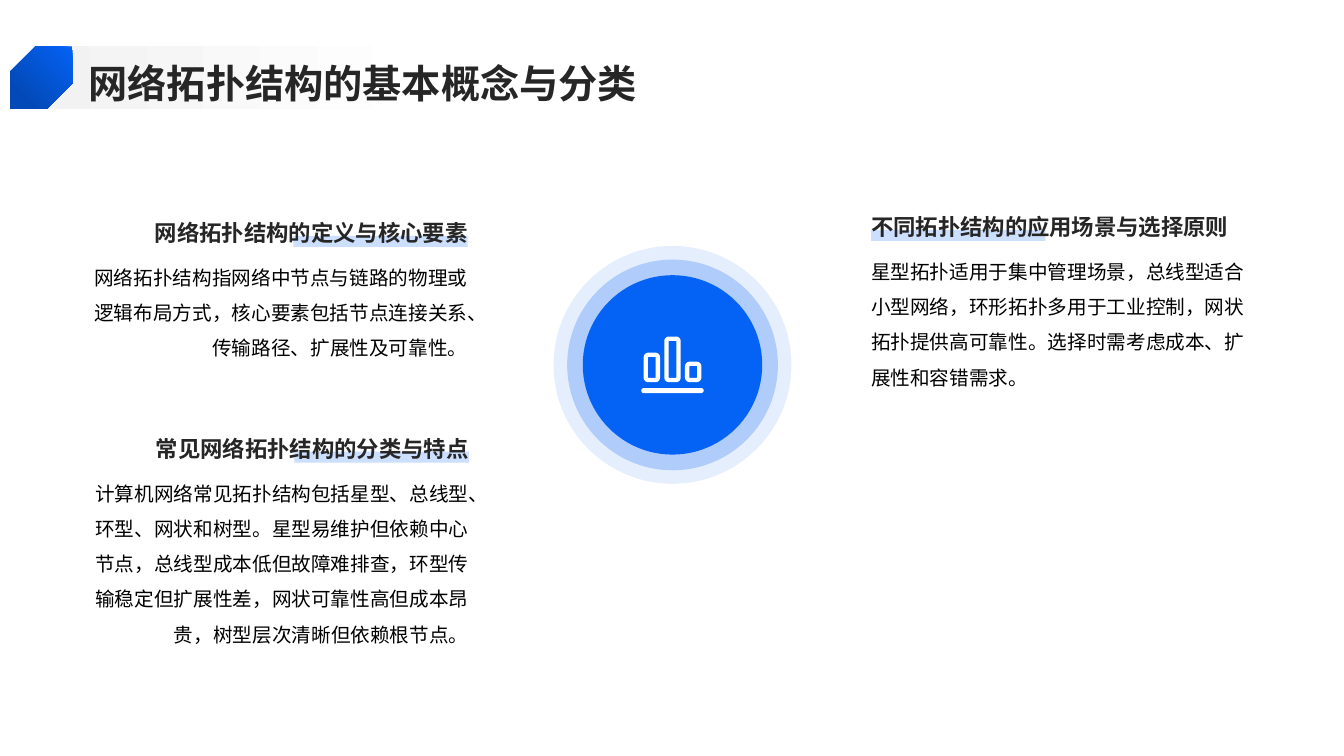
from lxml import etree
from pptx import Presentation
from pptx.dml.color import RGBColor
from pptx.enum.shapes import MSO_SHAPE
from pptx.enum.text import MSO_ANCHOR, PP_ALIGN
from pptx.oxml.ns import qn
from pptx.util import Inches, Pt

RECT, OVAL = MSO_SHAPE.RECTANGLE, MSO_SHAPE.OVAL
ROUNDED, SNIPPED = MSO_SHAPE.ROUNDED_RECTANGLE, MSO_SHAPE.SNIP_2_DIAG_RECTANGLE
LEFT, RIGHT = PP_ALIGN.LEFT, PP_ALIGN.RIGHT
TOP, MIDDLE, BOTTOM = MSO_ANCHOR.TOP, MSO_ANCHOR.MIDDLE, MSO_ANCHOR.BOTTOM
BLUE = RGBColor(0x04, 0x62, 0xF5)
DEEP_BLUE = RGBColor(0x03, 0x4A, 0xB8)
PALE_BLUE = RGBColor(0xCC, 0xDF, 0xFE)
GREY = RGBColor(0xF2, 0xF2, 0xF2)
WHITE = RGBColor(0xFF, 0xFF, 0xFF)
INK = RGBColor(0x26, 0x26, 0x26)
BLACK = RGBColor(0x00, 0x00, 0x00)
FONT = "Noto Sans CJK SC"
CARD_WIDTH, HEADING_HEIGHT, BODY_DROP = 3.74, 0.47, 0.55
MARK_WIDTH, MARK_HEIGHT, MARK_DROP = 1.73, 0.11, 0.37

TITLE = "网络拓扑结构的基本概念与分类"
CARDS = [
    ((0.9, 1.97, 1.51), RIGHT, "网络拓扑结构的定义与核心要素",
     "网络拓扑结构指网络中节点与链路的物理或逻辑布局方式，核心要素包括节点连接关系、"
     "传输路径、扩展性及可靠性。"),
    ((0.91, 4.11, 1.51), RIGHT, "常见网络拓扑结构的分类与特点",
     "计算机网络常见拓扑结构包括星型、总线型、环型、网状和树型。星型易维护但依赖中心节点，"
     "总线型成本低但故障难排查，环型传输稳定但扩展性差，网状可靠性高但成本昂贵，"
     "树型层次清晰但依赖根节点。"),
    ((8.64, 1.91, 2.95), LEFT, "不同拓扑结构的应用场景与选择原则",
     "星型拓扑适用于集中管理场景，总线型适合小型网络，环形拓扑多用于工业控制，"
     "网状拓扑提供高可靠性。选择时需考虑成本、扩展性和容错需求。"),
]


def add_block(page, kind, box, color=None, alpha=100):
    """Add a borderless shape, filled when a colour is given."""
    shape = page.shapes.add_shape(kind, *map(Inches, box))
    shape.shadow.inherit = False
    shape.line.fill.background()
    if color is None:
        shape.fill.background()
        return shape
    shape.fill.solid()
    shape.fill.fore_color.rgb = color
    if alpha < 100:
        tint = shape._element.spPr.find(qn("a:solidFill"))[0]
        etree.SubElement(tint, qn("a:alpha")).set("val", str(alpha * 1000))
    return shape


def set_gradient(shape, start, end, angle):
    """Fill a shape with a two-colour gradient that ends at 80 percent."""
    shape.fill.gradient()
    shape.fill.gradient_angle = angle
    for stop, color, position in zip(shape.fill.gradient_stops, (start, end), (0, 0.8)):
        stop.color.rgb = color
        stop.position = position


def add_text(page, box, text, size, color, bold=False, align=LEFT, anchor=TOP, spacing=1.5):
    """Add a wrapped text box without margins that holds one paragraph."""
    frame = page.shapes.add_textbox(*map(Inches, box)).text_frame
    frame.word_wrap = True
    frame.vertical_anchor = anchor
    frame.margin_left = frame.margin_right = frame.margin_top = frame.margin_bottom = 0
    para = frame.paragraphs[0]
    para.alignment = align
    para.line_spacing = spacing
    span = para.add_run()
    span.text = text
    span.font.size = Pt(size)
    span.font.bold = bold
    span.font.name = FONT
    span.font.color.rgb = color
    etree.SubElement(span.font._element, qn("a:ea")).set("typeface", FONT)


def add_title(page, left, top, size):
    """Place the fading band, the title and the snipped badge."""
    band = add_block(page, RECT, (left + 0.23, top, 4.92, size))
    set_gradient(band, GREY, WHITE, 0)
    add_text(page, (left + 0.78, top + 0.08, 11.88, 0.51), TITLE, 28, INK,
             bold=True, anchor=MIDDLE, spacing=1.1)
    badge = add_block(page, SNIPPED, (left, top, size, size))
    badge.adjustments[0], badge.adjustments[1] = 0, 0.408
    badge._element.spPr.xfrm.set("flipH", "1")
    set_gradient(badge, BLUE, DEEP_BLUE, 315)


def add_card(page, box, align, heading, body):
    """Place an underlined heading with its body text below."""
    left, top, body_height = box
    mark_left = left + CARD_WIDTH - MARK_WIDTH if align == RIGHT else left
    add_block(page, RECT, (mark_left, top + MARK_DROP, MARK_WIDTH, MARK_HEIGHT), PALE_BLUE)
    add_text(page, (left, top + BODY_DROP, CARD_WIDTH, body_height), body, 14, BLACK, align=align)
    add_text(page, (left, top, CARD_WIDTH, HEADING_HEIGHT), heading, 16, INK,
             bold=True, align=align, anchor=BOTTOM)


def add_emblem(page, center_x, center_y):
    """Place the concentric discs and the bar icon around a centre."""
    for diameter, alpha in ((2.36, 10), (2.09, 24), (1.78, 100)):
        box = (center_x - diameter / 2, center_y - diameter / 2, diameter, diameter)
        add_block(page, OVAL, box, BLUE, alpha)
    bar_width, bar_step, bar_bottom = 0.12, 0.205, center_y + 0.15
    for index, height in enumerate((0.25, 0.41, 0.16)):
        bar_left = center_x + (index - 1) * bar_step - bar_width / 2
        bar = add_block(page, ROUNDED, (bar_left, bar_bottom - height, bar_width, height))
        bar.adjustments[0] = 0.2
        bar.line.color.rgb = WHITE
        bar.line.width = Pt(3.1)
    base = add_block(page, ROUNDED, (center_x - 0.31, center_y + 0.23, 0.62, 0.05), WHITE)
    base.adjustments[0] = 0.5


def main():
    """Build the slide and save the deck."""
    deck = Presentation()
    deck.slide_width, deck.slide_height = Inches(13.33), Inches(7.5)
    page = deck.slides.add_slide(deck.slide_layouts[6])
    for card in CARDS:
        add_card(page, *card)
    add_emblem(page, 6.67, 3.62)
    add_title(page, 0.1, 0.46, 0.62)
    deck.save("out.pptx")


if __name__ == "__main__":
    main()
